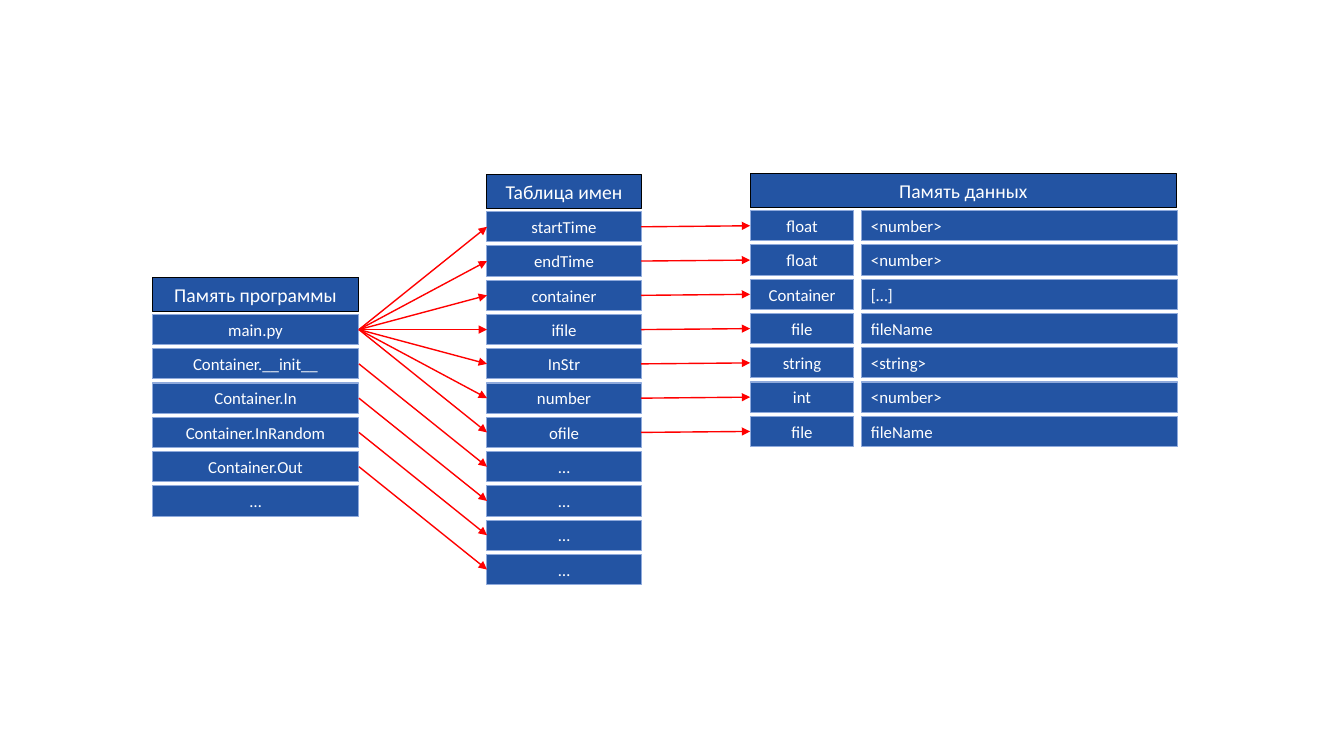
from pptx import Presentation
from pptx.dml.color import RGBColor
from pptx.enum.shapes import MSO_CONNECTOR, MSO_SHAPE
from pptx.enum.text import MSO_ANCHOR, MSO_AUTO_SIZE, PP_ALIGN
from pptx.oxml.ns import qn
from pptx.util import Inches, Pt
from lxml import etree

RECT, STRAIGHT = MSO_SHAPE.RECTANGLE, MSO_CONNECTOR.STRAIGHT
LEFT, CENTER = PP_ALIGN.LEFT, PP_ALIGN.CENTER
BLUE = RGBColor(0x23, 0x54, 0xA3)
PALE_BLUE = RGBColor(0x8F, 0xAA, 0xDC)
BLACK = RGBColor(0, 0, 0)
WHITE = RGBColor(0xFF, 0xFF, 0xFF)
RED = RGBColor(0xFF, 0, 0)

FRAME_FORMAT = {"word_wrap": True, "vertical_anchor": MSO_ANCHOR.MIDDLE,
                "auto_size": MSO_AUTO_SIZE.SHAPE_TO_FIT_TEXT}
TITLE = {"name": "Calibri", "size": Pt(14)}
CELL = {"name": "Calibri", "size": Pt(12)}
TITLE_H, CELL_H = 0.34, 0.3
TITLE_STEP, ROW_STEP = 0.37, 0.34
LEFT_SITE, RIGHT_SITE = 1, 3  # connection sites of a rectangle

# title, left, top, title width, columns of (left, width, alignment, texts)
BLOCKS = [
    ("Память данных", 7.44, 1.72, 4.23, [
        (7.44, 1.03, CENTER, ["float", "float", "Container", "file",
                              "string", "int", "file"]),
        (8.54, 3.14, LEFT, ["<number>", "<number>", "[…]", "fileName",
                            "<string>", "<number>", "fileName"])]),
    ("Память программы", 1.51, 2.75, 2.05, [
        (1.51, 2.05, CENTER, ["main.py", "Container.__init__", "Container.In",
                              "Container.InRandom", "Container.Out", "…"])]),
    ("Таблица имен", 4.83, 1.73, 1.53, [
        (4.83, 1.53, CENTER, ["startTime", "endTime", "container", "ifile",
                              "InStr", "number", "ofile"] + ["…"] * 4)]),
]


def add_box(shapes, text, box, line, align, font):
    """Add a blue rectangle with one line of white text."""
    sp = shapes.add_shape(RECT, *map(Inches, box))
    sp.shadow.inherit = False
    sp.fill.solid()
    sp.fill.fore_color.rgb = BLUE
    sp.line.color.rgb = line
    sp.line.width = Pt(0.75)
    tf = sp.text_frame
    for name, value in FRAME_FORMAT.items():
        setattr(tf, name, value)
    p = tf.paragraphs[0]
    p.alignment = align
    r = p.add_run()
    r.text = text
    r.font.color.rgb = WHITE
    for name, value in font.items():
        setattr(r.font, name, value)
    return sp


def add_arrow(shapes, source, target):
    """Join the right side of one box to the left side of another."""
    cn = shapes.add_connector(STRAIGHT, 0, 0, 0, 0)
    cn.begin_connect(source, RIGHT_SITE)
    cn.end_connect(target, LEFT_SITE)
    cn.line.color.rgb = RED
    cn.line.width = Pt(1)
    etree.SubElement(cn.line._get_or_add_ln(), qn("a:tailEnd"), type="triangle")
    etree.SubElement(cn._element.spPr, qn("a:effectLst"))


prs = Presentation()
prs.slide_width, prs.slide_height = Inches(13.33), Inches(7.5)
s = prs.slides.add_slide(prs.slide_layouts[6])

columns = []
for title, left, top, width, block_columns in BLOCKS:
    group = s.shapes.add_group_shape()
    add_box(group.shapes, title, (left, top, width, TITLE_H), BLACK, CENTER, TITLE)
    for col_left, col_width, align, texts in block_columns:
        columns.append([
            add_box(group.shapes, text,
                    (col_left, top + TITLE_STEP + i * ROW_STEP, col_width, CELL_H),
                    PALE_BLUE, align, CELL)
            for i, text in enumerate(texts)])

types, values, program, names = columns
variables, functions = names[:len(types)], names[len(types):]
for variable, data_type in zip(variables, types):
    add_arrow(s.shapes, program[0], variable)
    add_arrow(s.shapes, variable, data_type)
for method, function in zip(program[1:], functions):
    add_arrow(s.shapes, method, function)

prs.save("out.pptx")
